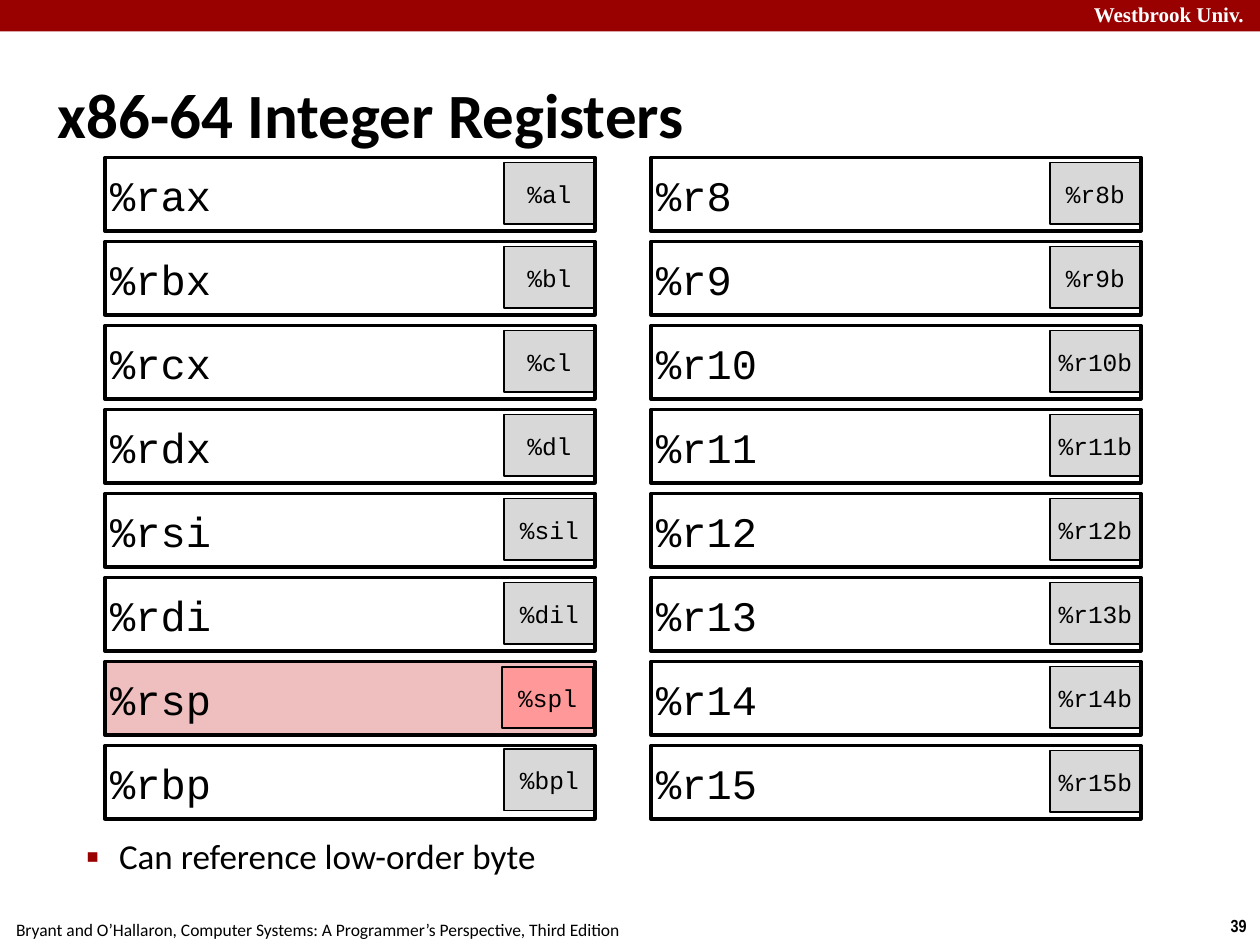
from lxml import etree
from pptx import Presentation
from pptx import util as u
from pptx.dml.color import RGBColor
from pptx.enum import shapes, text
from pptx.oxml import ns

COLORS = {
    "ink": "000000", "paper": "FFFFFF", "band": "990000", "byte": "D8D8D8",
    "stack": "EFBFBF", "stack_byte": "FF9999",
}
LEFT, CENTER = text.PP_ALIGN.LEFT, text.PP_ALIGN.CENTER
TOP, MIDDLE = text.MSO_ANCHOR.TOP, text.MSO_ANCHOR.MIDDLE


def color(name):
    return RGBColor.from_string(COLORS[name])


def write(frame, words, size, font="Calibri", ink="ink", bold=False, align=LEFT,
          anchor=TOP, inset=3, wrap=True):
    """Put one formatted paragraph into a text frame and return it."""
    frame.word_wrap = wrap
    frame.auto_size = text.MSO_AUTO_SIZE.NONE
    frame.vertical_anchor = anchor
    frame.margin_left = frame.margin_right = u.Pt(inset)
    frame.margin_top = frame.margin_bottom = u.Pt(3)
    paragraph = frame.paragraphs[0]
    paragraph.alignment = align
    run = paragraph.add_run()
    run.text = words
    run.font.size, run.font.name, run.font.bold = u.Pt(size), font, bold
    run.font.color.rgb = color(ink)
    return paragraph


def indent(paragraph, margin, first):
    properties = paragraph._p.get_or_add_pPr()
    properties.set("marL", str(u.Pt(margin)))
    properties.set("indent", str(u.Pt(first)))
    return properties


class SlideBuilder:
    mono = "Courier New"

    def __init__(self, slide):
        self.slide = slide

    def box(self, x, y, w, h, fill=None, line=None):
        rect = self.slide.shapes.add_shape(
            shapes.MSO_SHAPE.RECTANGLE, *map(u.Pt, (x, y, w, h)))
        rect.shadow.inherit = False
        if fill:
            rect.fill.solid()
            rect.fill.fore_color.rgb = color(fill)
        else:
            rect.fill.background()
        if line:
            rect.line.color.rgb = color("ink")
            rect.line.width = u.Pt(line)
        else:
            rect.line.fill.background()
        return rect

    def register(self, name, x, y, fill=None):
        write(self.box(x, y, 280, 42, fill, 2).text_frame, name, 24, self.mono,
              anchor=MIDDLE)

    def low_byte(self, name, x, y, fill="byte", line=0.75):
        write(self.box(x, y, 52, 35, fill, line).text_frame, name, 14, self.mono,
              align=CENTER, anchor=MIDDLE)

    def label(self, words, x, y, w, h, size, **style):
        area = self.slide.shapes.add_textbox(*map(u.Pt, (x, y, w, h)))
        write(area.text_frame, words, size, **style)

    def place(self, holder, x, y, w, h):
        holder.left, holder.top, holder.width, holder.height = map(
            u.Pt, (x, y, w, h))
        return holder.text_frame

    def title(self, words):
        frame = self.place(self.slide.shapes.title, 30, 20, 660, 90)
        indent(write(frame, words, 36, bold=True, anchor=MIDDLE), 9, -9)

    def bullet(self, words):
        frame = self.place(self.slide.placeholders[1], 25, 474, 577, 66)
        point = write(frame, words, 20)
        point.level = 1
        point.space_before = u.Pt(5)
        properties = indent(point, 40, -19)
        tint = etree.SubElement(properties, ns.qn("a:buClr"))
        etree.SubElement(tint, ns.qn("a:srgbClr"), val=COLORS["band"])
        etree.SubElement(properties, ns.qn("a:buSzPct"), val="110000")
        etree.SubElement(properties, ns.qn("a:buChar"), char="▪")


def main():
    deck = Presentation()
    deck.slide_width, deck.slide_height = u.Pt(720), u.Pt(540)
    page = SlideBuilder(deck.slides.add_slide(deck.slide_layouts[1]))

    # Header band and footer
    page.box(0, 0, 720, 18, "band")
    page.label("Westbrook Univ.", 622, -2, 104, 20, 12, font="Times New Roman",
               ink="paper", bold=True)
    page.label("Bryant and O’Hallaron, Computer Systems: A Programmer’s "
               "Perspective, Third Edition", -1.5, 522, 366, 19, 10,
               align=CENTER, inset=7.2, wrap=False)
    page.label("39", 695.5, 520, 24.5, 19, 10, font="Arial Narrow", bold=True,
               align=CENTER, inset=7.2, wrap=False)

    # Title and remark
    page.title("x86-64 Integer Registers")
    page.bullet("Can reference low-order byte")

    # Register grid: name and low-order byte
    columns = {
        60: [("%rax", "%al"), ("%rbx", "%bl"), ("%rcx", "%cl"), ("%rdx", "%dl"),
             ("%rsi", "%sil"), ("%rdi", "%dil"), ("%rsp", "%spl"),
             ("%rbp", "%bpl")],
        372: [(f"%r{n}", f"%r{n}b") for n in range(8, 16)],
    }
    for x, registers in columns.items():
        for row, (name, byte) in enumerate(registers):
            y = 90 + 48 * row
            if name == "%rsp":  # the stack pointer stands out
                page.register(name, x, y, "stack")
                page.low_byte(byte, x + 227, y + 3, "stack_byte", 1)
            else:  # the open frame lies over its byte
                rise = 1 if name == "%rbp" else 0
                page.low_byte(byte, x + 228, y + 3 - rise)
                page.register(name, x, y)

    deck.save("out.pptx")


if __name__ == "__main__":
    main()
